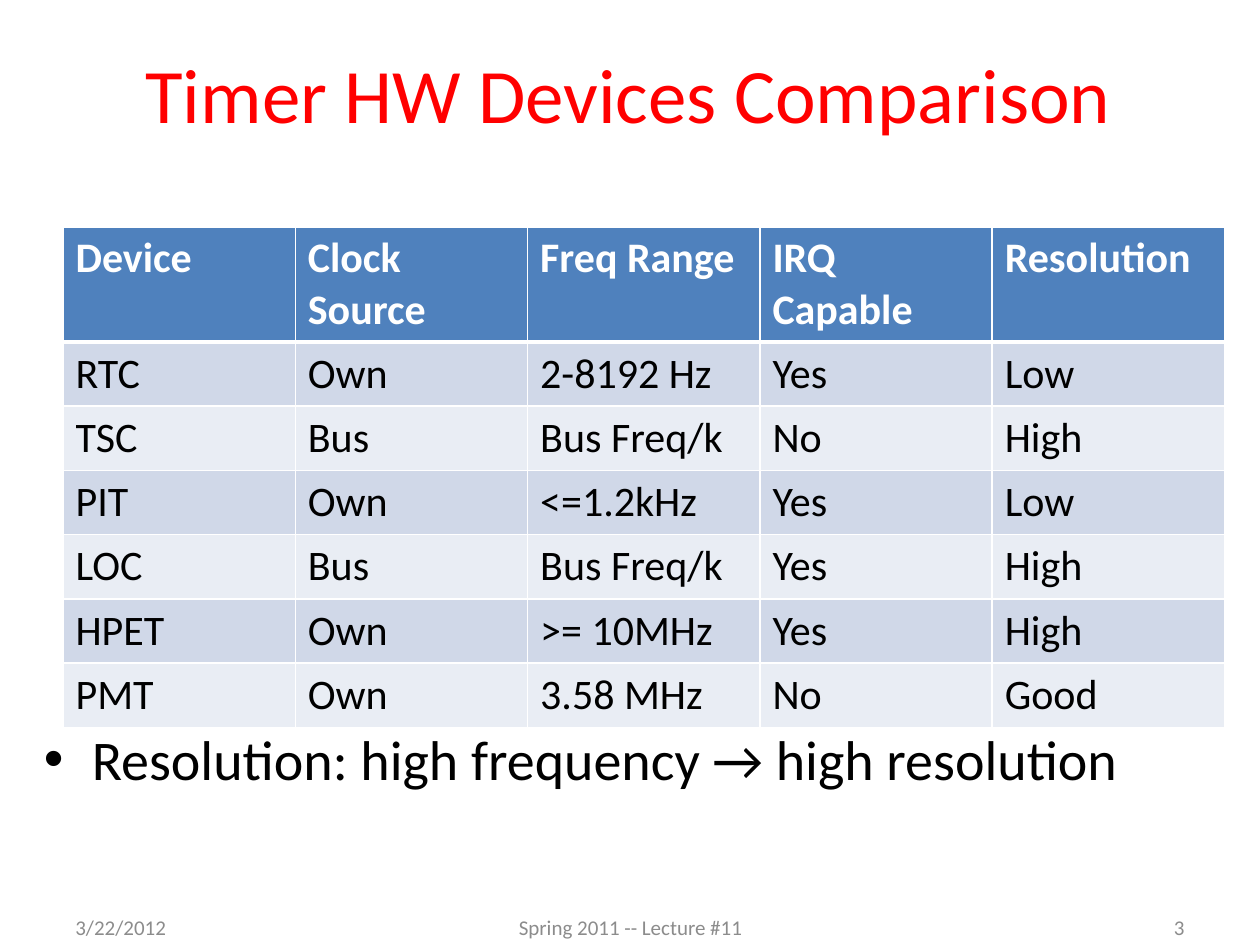
from lxml import etree
from pptx import Presentation
from pptx import util as u
from pptx.dml.color import RGBColor
from pptx.enum import text
from pptx.oxml.ns import qn

FONT = "Calibri"
COLORS = {
    "title": "FF0000", "header": "4F81BD", "band": "D0D8E8", "plain": "E9EDF4",
    "white": "FFFFFF", "black": "000000", "footer": "8C8C8C",
}
TITLE = "Timer HW Devices Comparison"
DEVICES = [
    ("Device", "Clock Source", "Freq Range", "IRQ Capable", "Resolution"),
    ("RTC", "Own", "2-8192 Hz", "Yes", "Low"),
    ("TSC", "Bus", "Bus Freq/k", "No", "High"),
    ("PIT", "Own", "<=1.2kHz", "Yes", "Low"),
    ("LOC", "Bus", "Bus Freq/k", "Yes", "High"),
    ("HPET", "Own", ">= 10MHz", "Yes", "High"),
    ("PMT", "Own", "3.58 MHz", "No", "Good"),
]
NOTE = "Resolution: high frequency \u2192 high resolution"
ALIGN = text.PP_ALIGN
# text, left, width, alignment
FOOTERS = [
    ("3/22/2012", 0.5, 2.33, ALIGN.LEFT),
    ("Spring 2011 -- Lecture #11", 3.42, 3.17, ALIGN.CENTER),
    ("3", 7.17, 2.33, ALIGN.RIGHT),
]
TABLE_LEFT, TABLE_TOP, TABLE_WIDTH = 0.5, 1.8, 9.22
HEADER_HEIGHT, ROW_HEIGHT = 0.9, 0.51


def write(frame, words, size, color, align=ALIGN.LEFT, bold=False):
    """Put one formatted run in a text frame and return its paragraph."""
    frame.word_wrap = True
    para = frame.paragraphs[0]
    para.alignment = align
    span = para.add_run()
    span.text = words
    span.font.name = FONT
    span.font.size = u.Pt(size)
    span.font.bold = bold
    span.font.color.rgb = RGBColor.from_string(COLORS[color])
    return para


def add_text(page, area, words, size, color, align=ALIGN.LEFT,
             anchor=text.MSO_ANCHOR.TOP):
    """Add a text box with one paragraph and return the paragraph."""
    box = page.shapes.add_textbox(*map(u.Inches, area))
    box.text_frame.vertical_anchor = anchor
    return write(box.text_frame, words, size, color, align)


def set_borders(cell, widths):
    """Draw white cell borders, given widths in points by side."""
    props = cell._tc.get_or_add_tcPr()
    for place, (side, width) in enumerate(widths.items()):
        line = etree.Element(qn(f"a:ln{side}"), w=str(u.Pt(width)))
        fill = etree.SubElement(line, qn("a:solidFill"))
        etree.SubElement(fill, qn("a:srgbClr"), val=COLORS["white"])
        props.insert(place, line)


def add_bullet(para, indent):
    """Give a paragraph a round bullet with a hanging indent in inches."""
    props = para._p.get_or_add_pPr()
    props.set("marL", str(u.Inches(indent)))
    props.set("indent", str(-u.Inches(indent)))
    before = etree.SubElement(props, qn("a:spcBef"))
    etree.SubElement(before, qn("a:spcPct"), val="20000")
    etree.SubElement(props, qn("a:buFont"), typeface="Arial")
    etree.SubElement(props, qn("a:buChar"), char="\u2022")


def add_device_table(page):
    """Add the comparison table with a header and banded rows."""
    rows, columns = len(DEVICES), len(DEVICES[0])
    height = HEADER_HEIGHT + (rows - 1) * ROW_HEIGHT
    area = (TABLE_LEFT, TABLE_TOP, TABLE_WIDTH, height)
    table = page.shapes.add_table(rows, columns, *map(u.Inches, area)).table
    for column in table.columns:
        column.width = u.Inches(TABLE_WIDTH / columns)
    for r, device in enumerate(DEVICES):
        head = r == 0
        table.rows[r].height = u.Inches(HEADER_HEIGHT if head else ROW_HEIGHT)
        shade = "header" if head else ("plain", "band")[r % 2]
        for c, words in enumerate(device):
            cell = table.cell(r, c)
            cell.fill.solid()
            cell.fill.fore_color.rgb = RGBColor.from_string(COLORS[shade])
            set_borders(cell, {"L": 1, "R": 1, "T": 3 if r == 1 else 1,
                               "B": 3 if head else 1})
            write(cell.text_frame, words, 24,
                  "white" if head else "black", bold=head)


deck = Presentation()
deck.slide_width, deck.slide_height = u.Inches(10), u.Inches(7.5)
page = deck.slides.add_slide(deck.slide_layouts[5])

title = page.shapes.title
title.left, title.top, title.width, title.height = map(
    u.Inches, (0.26, 0.11, 9.46, 1.25))
title.text_frame.vertical_anchor = text.MSO_ANCHOR.MIDDLE
write(title.text_frame, TITLE, 44, "title", ALIGN.CENTER)

add_device_table(page)
for words, left, width, align in FOOTERS:
    add_text(page, (left, 7.16, width, 0.4), words, 12, "footer", align,
             text.MSO_ANCHOR.MIDDLE)
add_bullet(add_text(page, (0.25, 5.7, 9.48, 1.42), NOTE, 32, "black"), 0.38)

deck.save("out.pptx")
